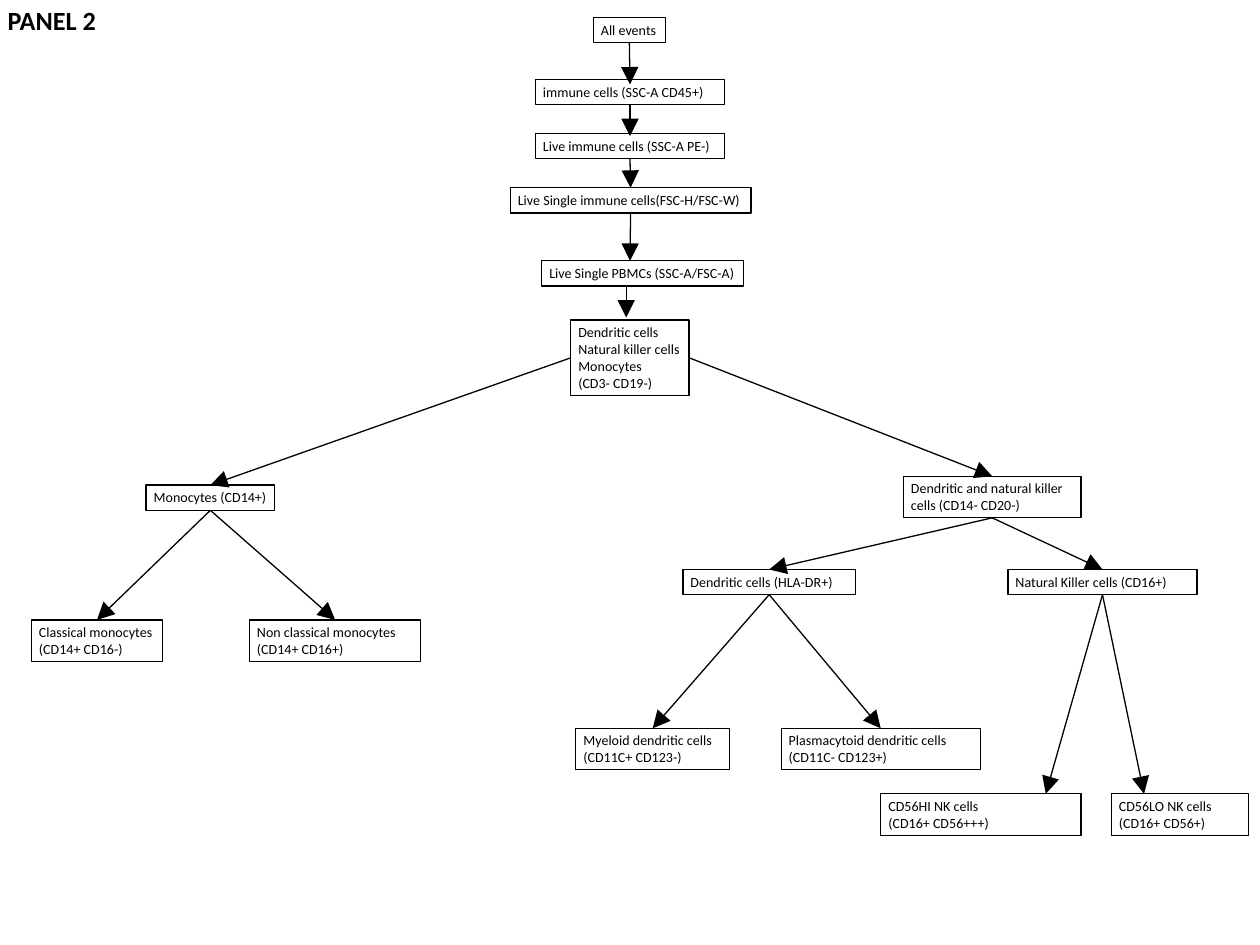
from dataclasses import dataclass

from lxml.etree import SubElement
from pptx import Presentation
from pptx.dml.color import RGBColor
from pptx.enum.shapes import MSO_CONNECTOR, MSO_SHAPE
from pptx.enum.text import MSO_ANCHOR, MSO_AUTO_SIZE, PP_ALIGN
from pptx.oxml.ns import qn
from pptx.util import Inches, Pt


@dataclass(frozen=True)
class Theme:
    ink: RGBColor = RGBColor(0, 0, 0)
    font: str = "Calibri"
    title_size: float = 15
    label_size: float = 8
    line_width: float = 0.75


THEME = Theme()
TOP, LEFT, BOTTOM, RIGHT = range(4)
ONE_LINE, TWO_LINES, FOUR_LINES = 0.2, 0.33, 0.6

# Gate name: (left, top, width, height, label)
GATES = {
    "all": (4.71, 0.14, 0.57, ONE_LINE, "All events"),
    "immune": (4.25, 0.63, 1.5, ONE_LINE, "immune cells (SSC-A CD45+)"),
    "live": (4.25, 1.06, 1.5, ONE_LINE, "Live immune cells (SSC-A PE-)"),
    "single": (4.05, 1.49, 1.91, ONE_LINE, "Live Single immune cells(FSC-H/FSC-W)"),
    "pbmc": (4.3, 2.07, 1.6, ONE_LINE, "Live Single PBMCs (SSC-A/FSC-A)"),
    "mixed": (4.53, 2.54, 0.94, FOUR_LINES,
              "Dendritic cells\nNatural killer cells\nMonocytes\n(CD3- CD19-)"),
    "monocytes": (1.16, 3.85, 1.02, ONE_LINE, "Monocytes (CD14+)"),
    "classical": (0.25, 4.92, 1.04, TWO_LINES, "Classical monocytes\n(CD14+ CD16-)"),
    "non_classical": (1.98, 4.92, 1.36, TWO_LINES,
                      "Non classical monocytes\n(CD14+ CD16+)"),
    "dc_nk": (7.17, 3.78, 1.41, TWO_LINES,
              "Dendritic and natural killer cells (CD14- CD20-)"),
    "dendritic": (5.42, 4.52, 1.37, ONE_LINE, "Dendritic cells (HLA-DR+)"),
    "nk": (8, 4.52, 1.5, ONE_LINE, "Natural Killer cells (CD16+)"),
    "myeloid": (4.57, 5.78, 1.22, TWO_LINES,
                "Myeloid dendritic cells (CD11C+ CD123-)"),
    "plasmacytoid": (6.2, 5.78, 1.58, TWO_LINES,
                     "Plasmacytoid dendritic cells\n(CD11C- CD123+)"),
    "cd56_hi": (6.99, 6.3, 1.59, TWO_LINES, "CD56HI NK cells\n(CD16+ CD56+++)"),
    "cd56_lo": (8.82, 6.3, 1.09, TWO_LINES, "CD56LO NK cells\n(CD16+ CD56+)"),
}

# Each end is a gate with a side, or a free point
ARROWS = [
    (("all", BOTTOM), (5, 0.67)),
    (("immune", BOTTOM), (5, 1.08)),
    (("live", BOTTOM), ("single", TOP)),
    (("single", BOTTOM), (5, 2.07)),
    ((4.97, 2.27), (4.97, 2.52)),
    (("mixed", LEFT), ("monocytes", TOP)),
    (("mixed", RIGHT), ("dc_nk", TOP)),
    (("monocytes", BOTTOM), ("classical", TOP)),
    (("monocytes", BOTTOM), ("non_classical", TOP)),
    (("dc_nk", BOTTOM), ("dendritic", TOP)),
    (("dc_nk", BOTTOM), ("nk", TOP)),
    (("dendritic", BOTTOM), ("myeloid", TOP)),
    (("dendritic", BOTTOM), ("plasmacytoid", TOP)),
    (("nk", BOTTOM), (8.3, 6.3)),
    (("nk", BOTTOM), (9.08, 6.3)),
]


def write_text(shape, text, size=THEME.label_size, bold=False):
    frame = shape.text_frame
    frame.text = text
    frame.word_wrap = True
    frame.auto_size = MSO_AUTO_SIZE.NONE
    frame.vertical_anchor = MSO_ANCHOR.TOP
    frame.margin_left = frame.margin_right = Inches(0.06)
    frame.margin_top = frame.margin_bottom = Inches(0.03)
    for paragraph in frame.paragraphs:
        paragraph.alignment = PP_ALIGN.LEFT
        font = paragraph.font
        for run in paragraph.runs:
            font = run.font
            font.name = THEME.font
            font.size = Pt(size)
            font.bold = bold
            font.color.rgb = THEME.ink


def style_line(line):
    line.color.rgb = THEME.ink
    line.width = Pt(THEME.line_width)


def place_title(slide, text):
    title = slide.shapes.title
    title.left, title.top = Inches(0), Inches(0)
    title.width, title.height = Inches(1.15), Inches(0.32)
    write_text(title, text, size=THEME.title_size, bold=True)


def add_gate(slide, left, top, width, height, label):
    gate = slide.shapes.add_shape(
        MSO_SHAPE.RECTANGLE, Inches(left), Inches(top), Inches(width), Inches(height))
    gate.shadow.inherit = False
    gate.fill.background()
    style_line(gate.line)
    write_text(gate, label)
    return gate


def add_arrow(slide, gates, start, end):
    """Join ends that name a gate; leave the others at their point."""
    ends = [(0, 0) if at[0] in gates else at for at in (start, end)]
    arrow = slide.shapes.add_connector(
        MSO_CONNECTOR.STRAIGHT, *(Inches(value) for at in ends for value in at))
    for at, connect in ((start, arrow.begin_connect), (end, arrow.end_connect)):
        if at[0] in gates:
            connect(gates[at[0]], at[1])
    style_line(arrow.line)
    SubElement(arrow.line._get_or_add_ln(), qn("a:tailEnd"),
               type="triangle", w="lg", len="lg")
    SubElement(arrow._element.spPr, qn("a:effectLst"))


def main():
    presentation = Presentation()
    presentation.slide_width, presentation.slide_height = Inches(10), Inches(7.5)
    slide = presentation.slides.add_slide(presentation.slide_layouts.get_by_name("Title Only"))
    place_title(slide, "PANEL 2")
    gates = {name: add_gate(slide, *gate) for name, gate in GATES.items()}
    for start, end in ARROWS:
        add_arrow(slide, gates, start, end)
    presentation.save("out.pptx")


if __name__ == "__main__":
    main()
